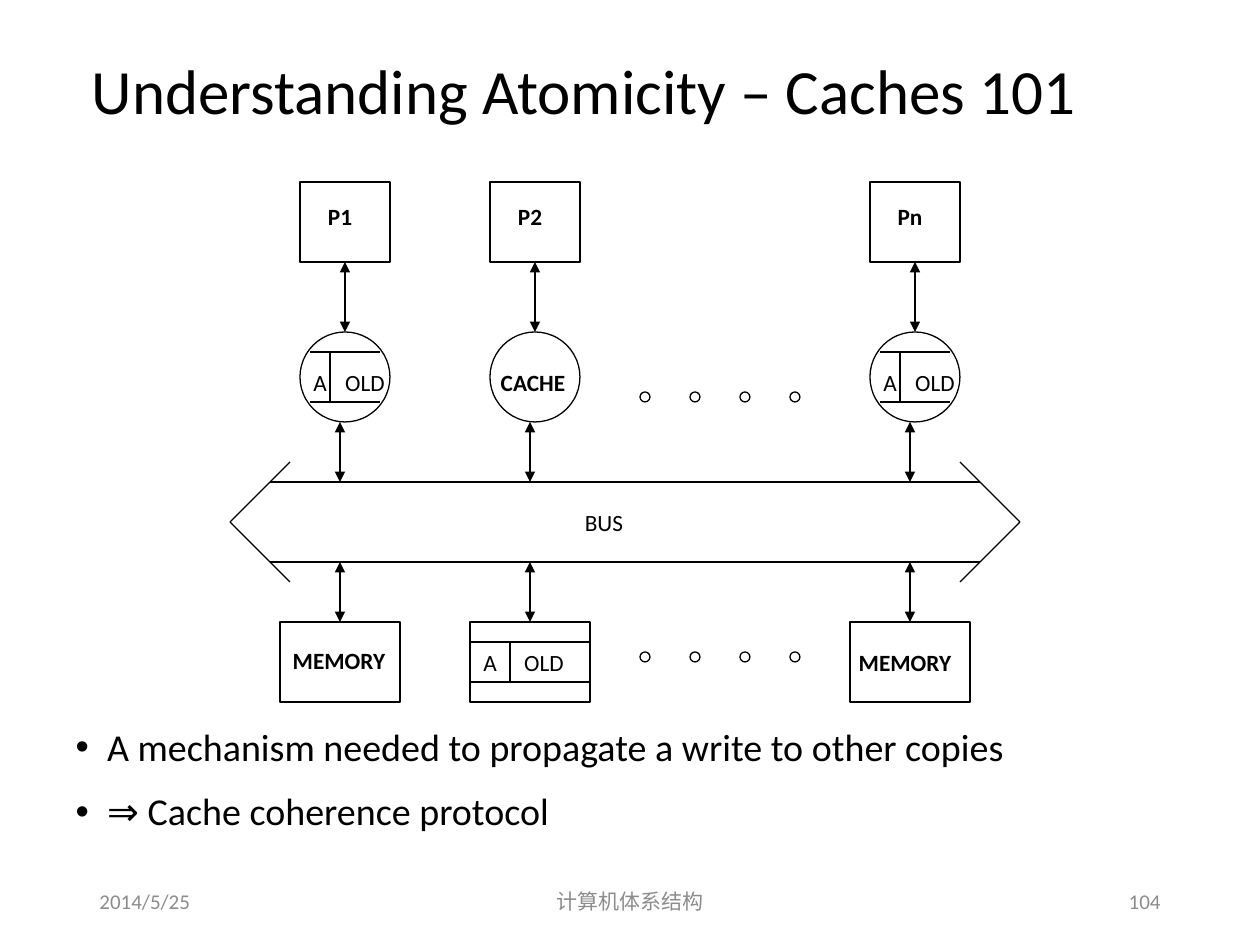
from dataclasses import dataclass

from lxml.etree import SubElement as Sub
from pptx import Presentation
from pptx.dml.color import RGBColor as Rgb
from pptx.enum.shapes import MSO_CONNECTOR as Con, MSO_SHAPE as Geo
from pptx.enum.text import MSO_ANCHOR as Anchor, MSO_AUTO_SIZE as Auto, PP_ALIGN as Align
from pptx.oxml.ns import qn
from pptx.util import Emu, Pt

SCALE = 914400 / 126
FONT = "Calibri"
INK = "000000"
GRAY = "8C8C8C"


@dataclass
class Label:
    """Text centred on a point, with the width of its box."""
    text: str
    x: int
    y: int
    wide: int
    bold: bool = False


@dataclass
class Node:
    """One processor with its cache, bus links and memory."""
    name: str
    left: int
    old: bool


@dataclass
class Foot:
    """One footer field."""
    text: str
    left: int
    wide: int
    align: Align


NODES = [Node("P1", 300, True), Node("P2", 490, False), Node("Pn", 870, True)]
LABELS = [
    Label("CACHE", 533, 382, 94, True),
    Label("MEMORY", 339, 660, 122, True),
    Label("MEMORY", 905, 662, 122, True),
    Label("A", 490, 662, 42),
    Label("OLD", 544, 662, 70),
    Label("BUS", 604, 522, 68),
]
FEET = [
    Foot("2014/5/25", 87, 284, Align.LEFT),
    Foot("计算机体系结构", 417, 426, Align.CENTER),
    Foot("104", 889, 284, Align.RIGHT),
]
BULLETS = [
    "A mechanism needed to propagate a write to other copies",
    "⇒ Cache coherence protocol",
]


def px(n: int) -> Emu:
    """Turn pixels into EMU."""
    return Emu(round(n * SCALE))


def paint(tone: str) -> Rgb:
    """Turn a hex string into a colour."""
    return Rgb.from_string(tone)


def place(shape, left: int, top: int, wide: int, high: int) -> None:
    """Move and size a shape."""
    shape.left, shape.top = px(left), px(top)
    shape.width, shape.height = px(wide), px(high)


def write(para, text: str, size: float, tone: str = INK, bold: bool = False) -> None:
    """Add one formatted run."""
    run = para.add_run()
    run.text = text
    font = run.font
    font.name, font.size, font.bold = FONT, Pt(size), bold
    font.color.rgb = paint(tone)


def outline(slide, geo: Geo, left: int, top: int, wide: int, high: int):
    """Draw an unfilled shape."""
    shape = slide.shapes.add_shape(geo, px(left), px(top), px(wide), px(high))
    shape.shadow.inherit = False
    shape.fill.background()
    shape.line.color.rgb = paint(INK)
    shape.line.width = Pt(0.75)
    return shape


def rule(slide, x1: int, y1: int, x2: int, y2: int, ends: bool = False):
    """Draw a line, with arrowheads at both ends if asked."""
    line = slide.shapes.add_connector(Con.STRAIGHT, px(x1), px(y1), px(x2), px(y2))
    line.line.color.rgb = paint(INK)
    line.line.width = Pt(0.75)
    props = line.element.spPr
    if ends:
        for tag in ("a:headEnd", "a:tailEnd"):
            Sub(props.find(qn("a:ln")), qn(tag), type="triangle")
    Sub(props, qn("a:effectLst"))
    return line


def label(slide, item: Label) -> None:
    """Write a label around its centre."""
    box = slide.shapes.add_textbox(
        px(item.x - item.wide // 2), px(item.y - 20), px(item.wide), px(40))
    frame = box.text_frame
    frame.word_wrap = False
    frame.auto_size = Auto.SHAPE_TO_FIT_TEXT
    frame.vertical_anchor = Anchor.MIDDLE
    para = frame.paragraphs[0]
    para.alignment = Align.CENTER
    write(para, item.text, 13.3, bold=item.bold)


def cell(slide, left: int, top: int, wide: int, high: int, split: int) -> None:
    """Draw the two rules and divider of a stored word."""
    for y in (top, top + high):
        rule(slide, left, y, left + wide, y)
    rule(slide, left + split, top, left + split, top + high)


def column(slide, node: Node) -> None:
    """Draw one processor column."""
    left = node.left
    mid, port = left + 45, left + 40
    chip = outline(slide, Geo.RECTANGLE, left, 182, 90, 80)
    cache = outline(slide, Geo.OVAL, left, 332, 90, 90)
    store = outline(slide, Geo.RECTANGLE, left - 20, 622, 120, 80)
    link = rule(slide, mid, 262, mid, 332, True)
    link.begin_connect(chip, 2)
    link.end_connect(cache, 0)
    rule(slide, port, 422, port, 482, True)
    rule(slide, port, 562, port, 622, True).end_connect(store, 0)
    label(slide, Label(node.name, port, 216, 56, True))
    if node.old:
        cell(slide, left + 10, 352, 70, 50, 20)
        label(slide, Label("A", left + 20, 382, 42))
        label(slide, Label("OLD", left + 65, 382, 70))


def bus(slide) -> None:
    """Draw the double-headed bus."""
    for y in (482, 562):
        rule(slide, 270, y, 980, y)
    for tip, end in ((230, 290), (1020, 960)):
        for y in (462, 582):
            rule(slide, tip, 522, end, y)


def heading(slide) -> None:
    """Fill the title."""
    title = slide.shapes.title
    place(title, 79, 33, 1086, 123)
    frame = title.text_frame
    frame.auto_size = Auto.NONE
    frame.vertical_anchor = Anchor.MIDDLE
    para = frame.paragraphs[0]
    para.alignment = Align.LEFT
    para.line_spacing = 0.9
    write(para, "Understanding Atomicity – Caches 101", 36)


def points(slide) -> None:
    """Fill the bullet list."""
    body = slide.placeholders[1]
    place(body, 63, 722, 1134, 130)
    frame = body.text_frame
    frame.auto_size = Auto.NONE
    for i, text in enumerate(BULLETS):
        para = frame.add_paragraph() if i else frame.paragraphs[0]
        para.line_spacing = 0.9
        para.space_before = Pt(13.5 if i else 0)
        props = para._p.get_or_add_pPr()
        props.set("marL", "228600")
        props.set("indent", "-228600")
        Sub(props, qn("a:buChar"), char="•")
        write(para, text, 21.7)


def footer(slide, foot: Foot) -> None:
    """Write one footer field."""
    box = slide.shapes.add_textbox(px(foot.left), px(876), px(foot.wide), px(50))
    frame = box.text_frame
    frame.word_wrap = True
    frame.vertical_anchor = Anchor.MIDDLE
    para = frame.paragraphs[0]
    para.alignment = foot.align
    write(para, foot.text, 12, GRAY)


def main() -> None:
    """Build the slide."""
    deck = Presentation()
    deck.slide_width, deck.slide_height = px(1260), px(945)
    slide = deck.slides.add_slide(deck.slide_layouts[1])
    heading(slide)
    points(slide)
    bus(slide)
    for node in NODES:
        column(slide, node)
    cell(slide, 470, 642, 120, 40, 40)
    for item in LABELS:
        label(slide, item)
    for top in (392, 652):
        for i in range(4):
            outline(slide, Geo.OVAL, 640 + 50 * i, top, 10, 10)
    for foot in FEET:
        footer(slide, foot)
    deck.save("out.pptx")


if __name__ == "__main__":
    main()
